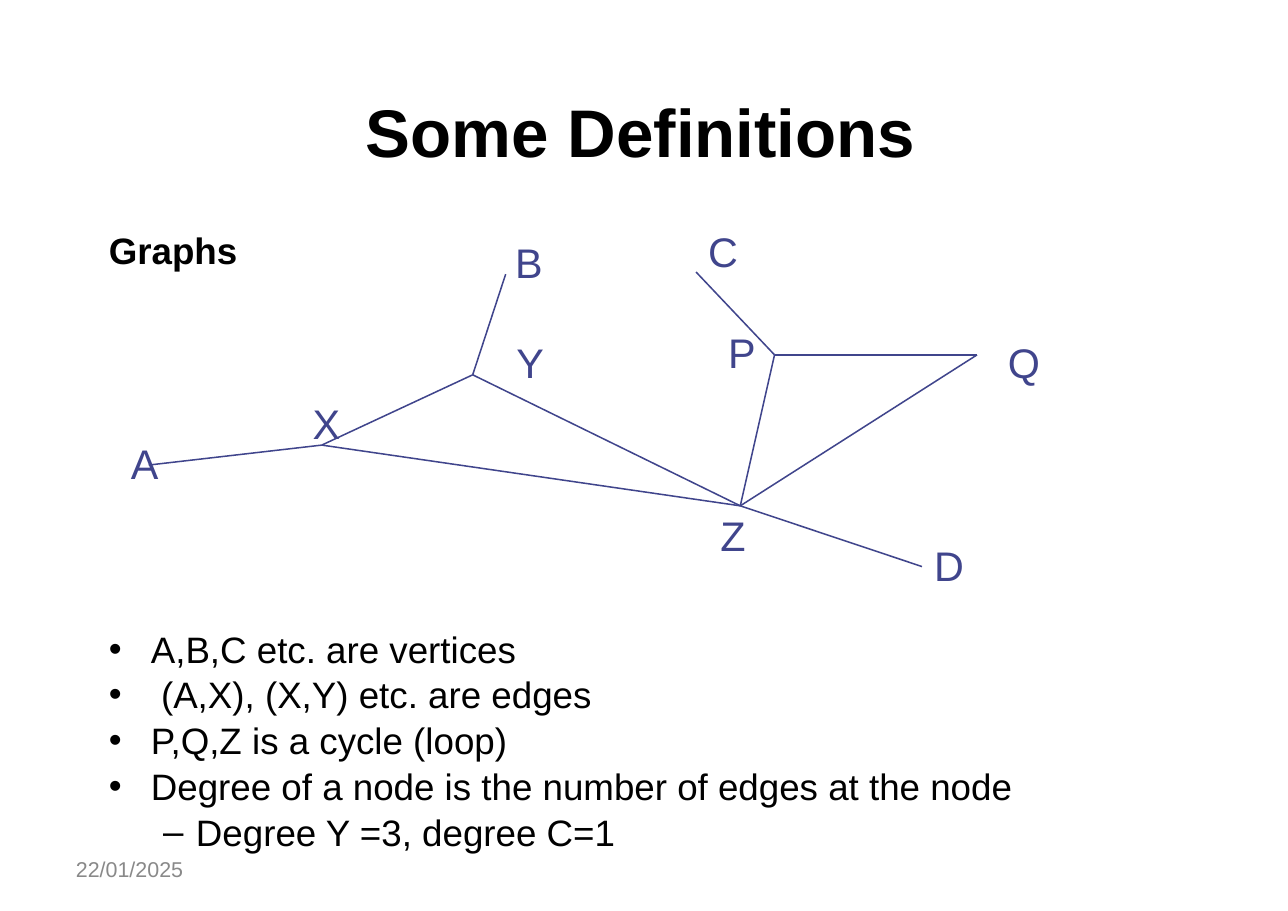
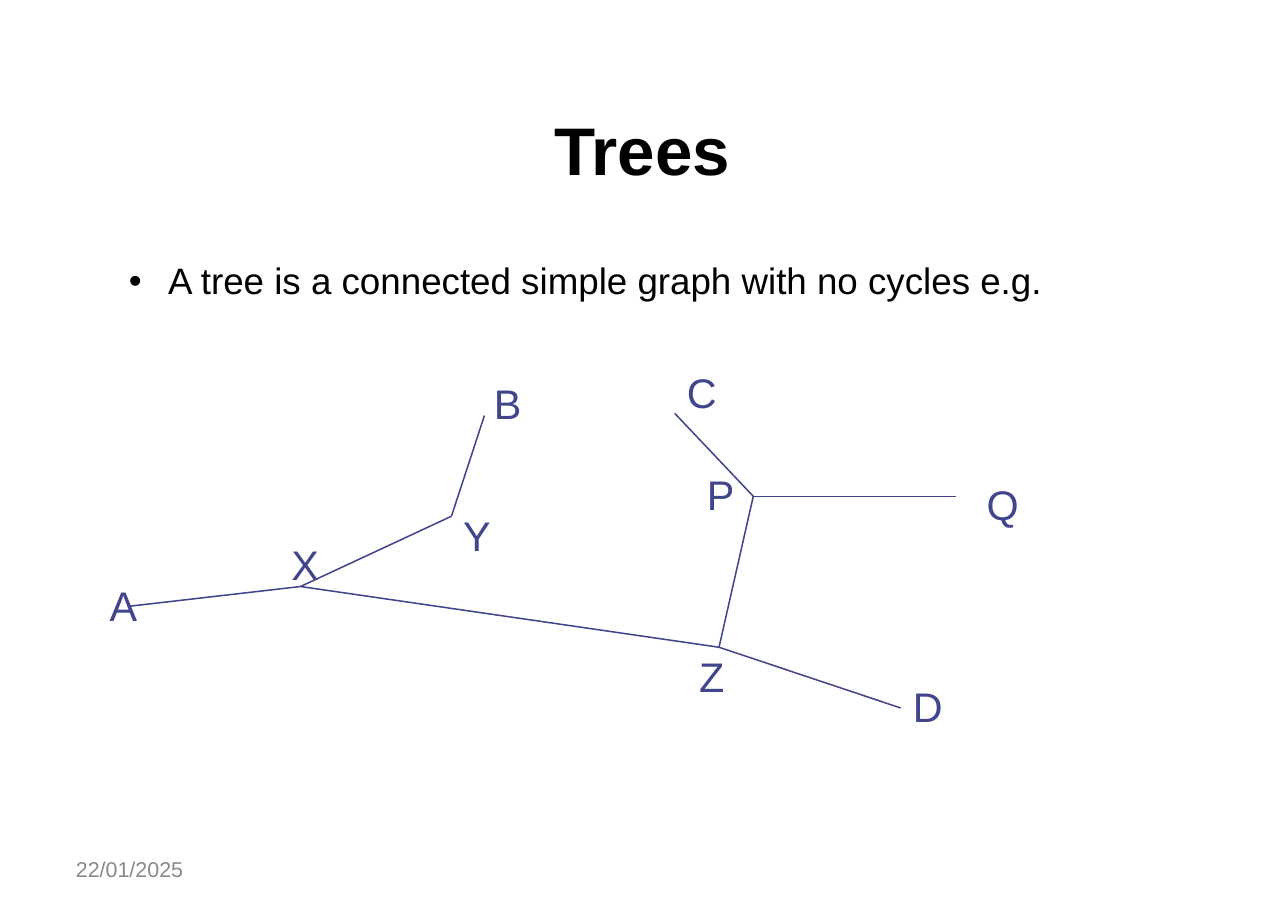
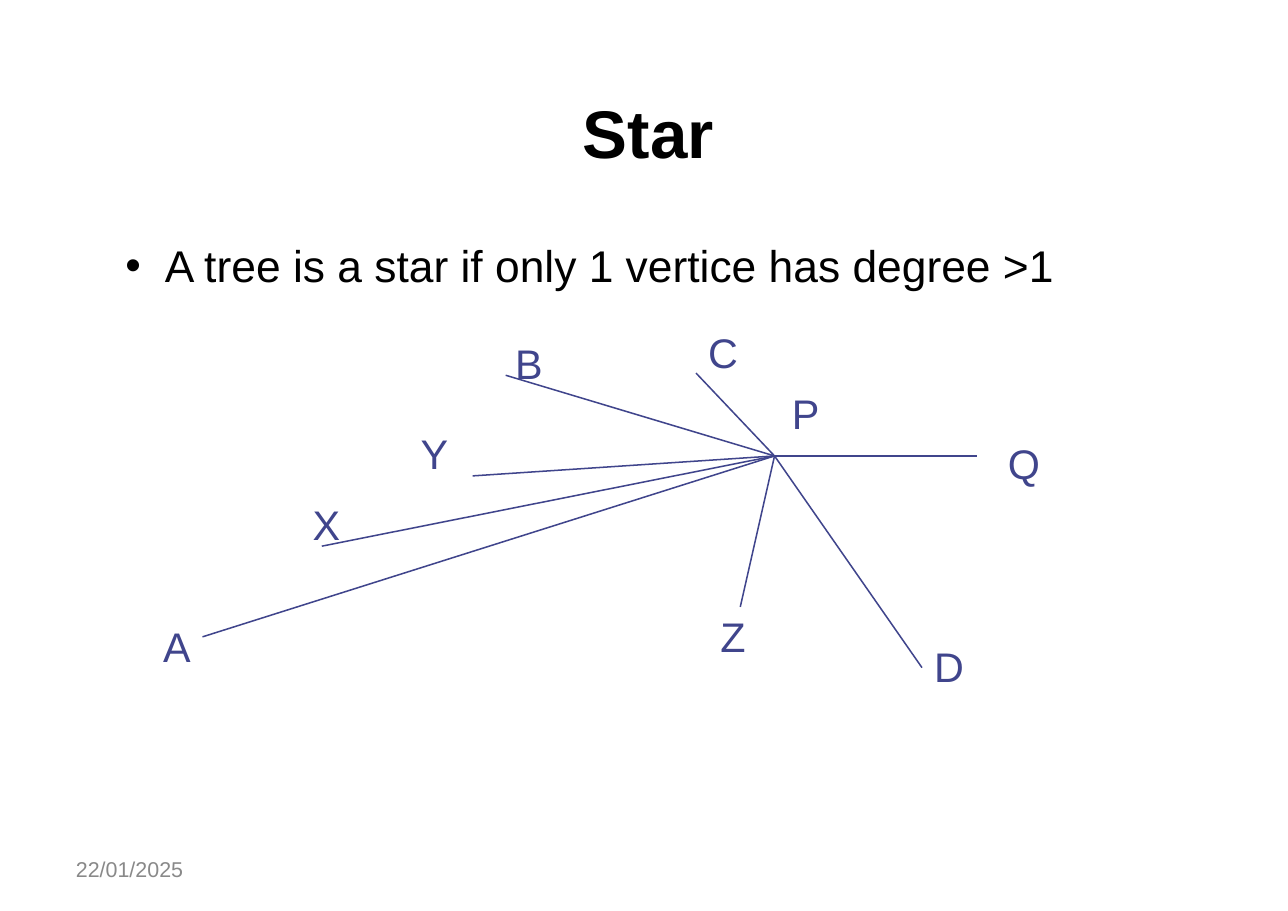
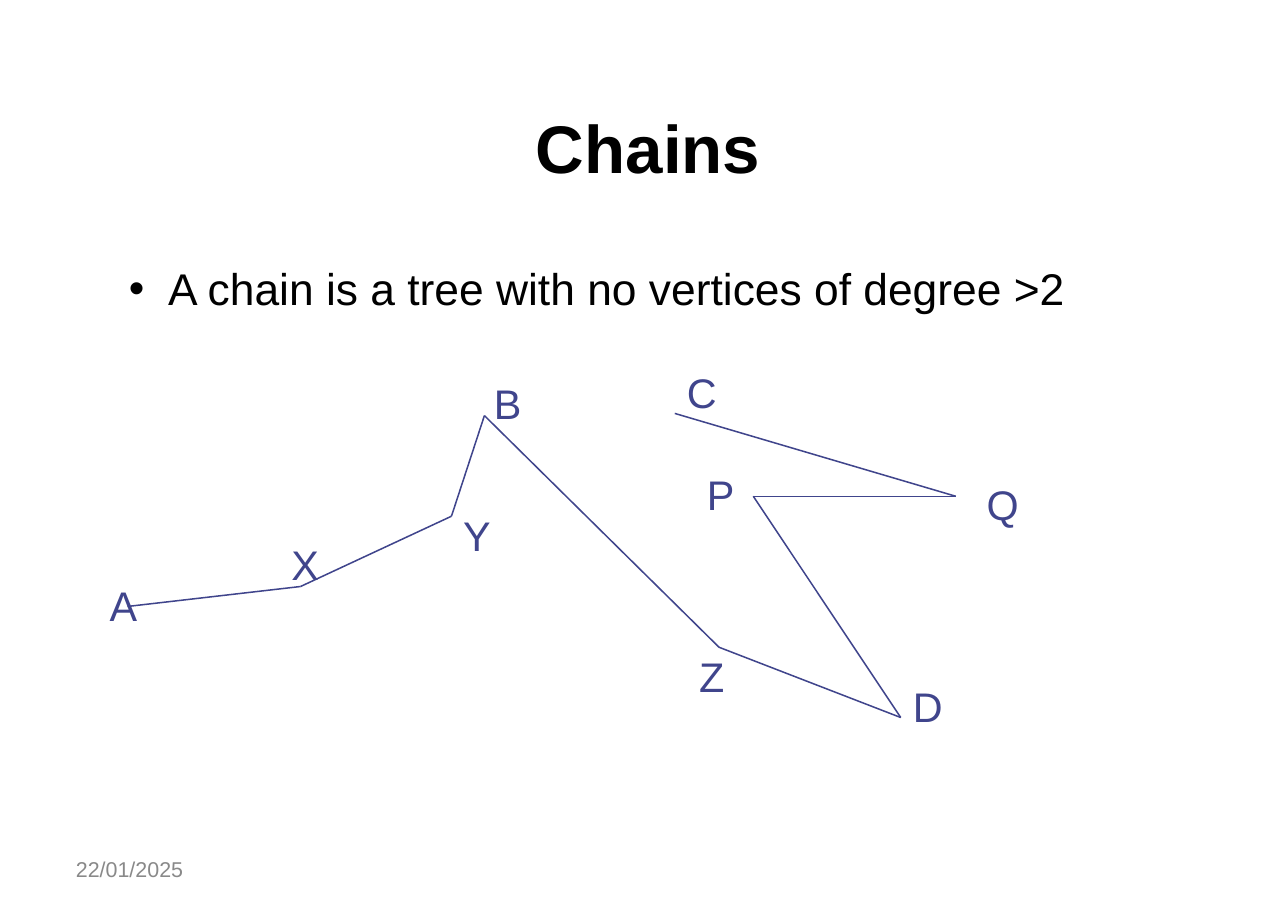
from lxml.etree import SubElement
from pptx import Presentation
from pptx.dml.color import RGBColor
from pptx.enum.shapes import MSO_CONNECTOR as Connector
from pptx.enum.text import MSO_ANCHOR as Anchor, MSO_AUTO_SIZE as AutoSize, PP_ALIGN as Align
from pptx.oxml.ns import qn
from pptx.util import Cm, Pt

# Shared look
BLACK, GREY, INDIGO = "000000", "898989", "40458C"
TITLE = {"size": 44, "bold": True, "color": BLACK}
HEADING = {"size": 24, "bold": True, "color": BLACK}
SMALL_BODY = {"size": 24, "color": BLACK}
LARGE_BODY = {"size": 29, "color": BLACK}
LABEL = {"size": 27, "color": INDIGO}
FOOTER = {"size": 14, "color": GREY}
DATE = "22/01/2025"
DATE_BOX = (1.5, 19.46, 6.93, 1.12)
MARGINS = (0.25, 0.13, 0.25, 0.13)

# Bullet styles: character, left indent and hanging indent in cm
DOT = ("•", 0.97, 0.97)
DASH = ("–", 2.01, 0.76)
WIDE_DOT = ("•", 0.91, 0.91)

# Graph in cm: vertex points, then label positions and label widths
POINTS = {
    "A": (3.43, 10.72), "B": (11.66, 6.32), "C": (16.05, 6.27),
    "D": (21.26, 13.06), "P": (17.86, 8.18), "Q": (22.53, 8.18),
    "X": (7.42, 10.26), "Y": (10.9, 8.64), "Z": (17.07, 11.66),
}
LABELS = {
    "A": (2.77, 9.98), "B": (11.63, 5.33), "C": (16.08, 5.08),
    "D": (21.29, 12.32), "P": (16.54, 7.42), "Q": (22.99, 7.65),
    "X": (6.96, 9.04), "Y": (11.66, 7.65), "Z": (16.36, 11.63),
}
LABEL_WIDTHS = {"A": 1.19, "B": 1.14, "C": 1.19, "D": 1.19, "P": 1.12,
                "Q": 1.24, "X": 1.14, "Y": 1.12, "Z": 1.09}
LABEL_HEIGHT = 1.4
LOWERED = (-0.49, 3.26)
Y_BESIDE = {"Y": (10.92, 8.38)}

# Slides: each paragraph is (text, format, bullet, space before, line spacing)
SLIDES = [
    {
        "title": "Some Definitions", "title_box": (1.04, 1.5, 27.48, 3.0),
        "body_box": (2.26, 5.11, 25.25, 14.6),
        "body": [
            ("Graphs", HEADING, None, 0, 1),
            ("A,B,C etc. are vertices", SMALL_BODY, DOT, 232, 1),
            (" (A,X), (X,Y) etc. are edges", SMALL_BODY, DOT, 1.1, 1),
            ("P,Q,Z is a cycle (loop)", SMALL_BODY, DOT, 1.1, 1),
            ("Degree of a node is the number of edges at the node",
             SMALL_BODY, DOT, 1.1, 1),
            ("Degree Y =3, degree C=1", SMALL_BODY, DASH, 1.1, 1),
        ],
        "edges": "BY YX XZ YZ PZ XA ZD PQ QZ PC",
    },
    {
        "title": "Trees", "title_box": (2.06, 2.29, 25.5, 2.26),
        "body_box": (2.72, 5.89, 25.25, 1.4),
        "body": [("A tree is a connected simple graph with no cycles e.g.",
                  SMALL_BODY, WIDE_DOT, 0, 0.94)],
        "edges": "BY YX XZ PZ XA ZD PQ PC",
        "shift": LOWERED, "labels": Y_BESIDE,
    },
    {
        "title": "Star", "title_box": (1.45, 1.9, 27, 2.29),
        "body_box": (2.64, 5.31, 25.25, 1.85),
        "body": [("A tree is a star if only 1 vertice has degree >1",
                  LARGE_BODY, WIDE_DOT, 0, 1.04)],
        "edges": "BP PX YP PZ PA PD PQ PC",
        "shift": (0, 2.33), "points": {"A": (4.67, 12.35)},
        "labels": {"A": (3.51, 11.86), "P": (18.01, 6.48), "Y": (9.45, 7.42)},
    },
    {
        "title": "Chains", "title_box": (1.45, 1.9, 27, 2.95),
        "body_box": (2.72, 5.84, 25.25, 1.85),
        "body": [("A chain is a tree with no vertices of degree >2",
                  LARGE_BODY, WIDE_DOT, 0, 1.04)],
        "edges": "BY YX BZ PD XA ZD PQ QC",
        "shift": LOWERED, "points": {"D": (21.26, 13.28)}, "labels": Y_BESIDE,
    },
]


def rgb(value):
    return RGBColor.from_string(value)


def add_bullet(para, bullet):
    char, left, hanging = bullet
    properties = para._p.get_or_add_pPr()
    properties.set("marL", str(Cm(left)))
    properties.set("indent", str(-Cm(hanging)))
    color = SubElement(properties, qn("a:buClr"))
    SubElement(color, qn("a:srgbClr"), val=BLACK)
    SubElement(properties, qn("a:buFont"), typeface="Arial")
    SubElement(properties, qn("a:buChar"), char=char)


def add_span(para, text, style):
    span = para.add_run()
    span.text = text
    values = {"name": "Arial", "size": Pt(style["size"]), "bold": style.get("bold", False)}
    for name, value in values.items():
        setattr(span.font, name, value)
    span.font.color.rgb = rgb(style["color"])


def add_text(page, place, paragraphs, anchor=Anchor.TOP, align=Align.LEFT, wrap=True):
    box = page.shapes.add_textbox(*map(Cm, place))
    frame = box.text_frame
    sides = ("margin_left", "margin_top", "margin_right", "margin_bottom")
    values = dict(zip(sides, map(Cm, MARGINS)))
    values["word_wrap"] = wrap
    values["vertical_anchor"] = anchor
    values["auto_size"] = AutoSize.NONE if wrap else AutoSize.SHAPE_TO_FIT_TEXT
    for name, value in values.items():
        setattr(frame, name, value)
    for index, (text, style, bullet, before, spacing) in enumerate(paragraphs):
        para = frame.add_paragraph() if index else frame.paragraphs[0]
        if bullet:
            add_bullet(para, bullet)
            para.level = int(bullet is DASH)
        para.alignment = align
        para.line_spacing = spacing
        if before:
            para.space_before = Pt(before)
        add_span(para, text, style)


def add_line(page, start, end):
    line = page.shapes.add_connector(Connector.STRAIGHT, *map(Cm, start + end))
    line.line.color.rgb = rgb(INDIGO)
    line.line.width = Pt(1)
    SubElement(line._element.spPr, qn("a:effectLst"))


def add_graph(page, content):
    shift_x, shift_y = content.get("shift", (0, 0))

    def moved(places):
        return {name: (x + shift_x, y + shift_y) for name, (x, y) in places.items()}

    points = moved({**POINTS, **content.get("points", {})})
    labels = moved({**LABELS, **content.get("labels", {})})
    for start, end in content["edges"].split():
        add_line(page, points[start], points[end])
    for name, corner in labels.items():
        place = corner + (LABEL_WIDTHS[name], LABEL_HEIGHT)
        add_text(page, place, [(name, LABEL, None, 0, 1)], wrap=False)


def main():
    deck = Presentation()
    deck.slide_width, deck.slide_height = Cm(29.7), Cm(21)
    for content in SLIDES:
        page = deck.slides.add_slide(deck.slide_layouts[6])
        add_text(page, content["title_box"], [(content["title"], TITLE, None, 0, 1)],
                 Anchor.MIDDLE, Align.CENTER)
        add_text(page, content["body_box"], content["body"])
        add_graph(page, content)
        add_text(page, DATE_BOX, [(DATE, FOOTER, None, 0, 1)], Anchor.MIDDLE)
    deck.save("out.pptx")


if __name__ == "__main__":
    main()
